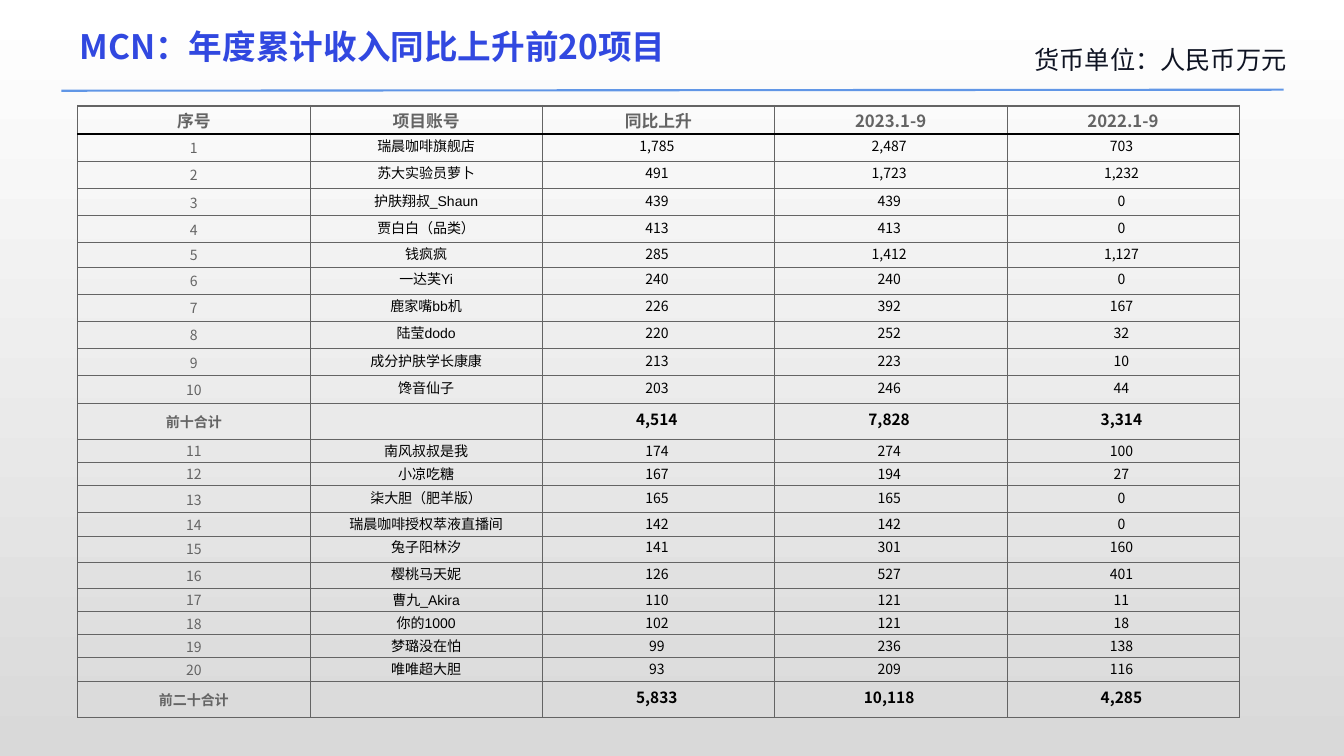
from lxml import etree
from pptx import Presentation
from pptx import util as u
from pptx.dml.color import RGBColor
from pptx.enum import shapes, text
from pptx.oxml.ns import qn

TITLE = "MCN：年度累计收入同比上升前20项目"
UNIT = "货币单位：人民币万元"
HEAD = ("序号", "项目账号", "同比上升", "2023.1-9", "2022.1-9")
TOP_TEN = [
    ("瑞晨咖啡旗舰店", "1,785", "2,487", "703"),
    ("苏大实验员萝卜", "491", "1,723", "1,232"),
    ("护肤翔叔_Shaun", "439", "439", "0"),
    ("贾白白（品类）", "413", "413", "0"),
    ("钱疯疯", "285", "1,412", "1,127"),
    ("一达芙Yi", "240", "240", "0"),
    ("鹿家嘴bb机", "226", "392", "167"),
    ("陆莹dodo", "220", "252", "32"),
    ("成分护肤学长康康", "213", "223", "10"),
    ("馋音仙子", "203", "246", "44"),
]
NEXT_TEN = [
    ("南风叔叔是我", "174", "274", "100"),
    ("小凉吃糖", "167", "194", "27"),
    ("柒大胆（肥羊版）", "165", "165", "0"),
    ("瑞晨咖啡授权萃液直播间", "142", "142", "0"),
    ("兔子阳林汐", "141", "301", "160"),
    ("樱桃马天妮", "126", "527", "401"),
    ("曹九_Akira", "110", "121", "11"),
    ("你的1000", "102", "121", "18"),
    ("梦璐没在怕", "99", "236", "138"),
    ("唯唯超大胆", "93", "209", "116"),
]
TOTAL_TEN = ("前十合计", "", "4,514", "7,828", "3,314")
TOTAL_TWENTY = ("前二十合计", "", "5,833", "10,118", "4,285")
HEIGHTS = ([0.28] + [0.27] * 4 + [0.24] + [0.27] * 5 + [0.36]
           + [0.23, 0.23, 0.27, 0.23, 0.26, 0.26] + [0.23] * 4 + [0.36])

COLORS = {"title": "3148E0", "unit": "0F1423", "rule": "6096E6", "grey": "646464",
          "black": "000000", "bg_top": "FFFFFF", "bg_bottom": "D9D9D9"}
CJK = "Noto Sans CJK SC"


def rgb(name):
    return RGBColor.from_string(COLORS[name])


def write(tf, content, size=10, color="black", font=CJK, bold=False, align="CENTER"):
    p = tf.paragraphs[0]
    p.alignment = text.PP_ALIGN[align]
    if not content:
        p.font.size = u.Pt(size)
        return
    r = p.add_run()
    r.text = content
    r.font.size, r.font.bold, r.font.name = u.Pt(size), bold, font
    r.font.color.rgb = rgb(color)
    ea = etree.SubElement(r._r.get_or_add_rPr(), qn("a:ea"))
    ea.set("typeface", CJK)


def set_margins(obj, left, top, right, bottom):
    obj.margin_left, obj.margin_top = u.Inches(left), u.Inches(top)
    obj.margin_right, obj.margin_bottom = u.Inches(right), u.Inches(bottom)


def set_borders(cell, **edges):
    tcPr = cell._tc.get_or_add_tcPr()
    for i, side in enumerate("LRTB"):
        color, width = edges.get(side, ("grey", 0.5))
        ln = etree.Element(qn("a:ln" + side), w=str(int(u.Pt(width))))
        fill = etree.SubElement(ln, qn("a:solidFill"))
        etree.SubElement(fill, qn("a:srgbClr"), val=COLORS[color])
        tcPr.insert(i, ln)


prs = Presentation()
prs.slide_width, prs.slide_height = u.Inches(13.33), u.Inches(7.5)
s = prs.slides.add_slide(prs.slide_layouts[6])

# Background
bg = s.background.fill
bg.gradient()
bg.gradient_angle = 270
for stop, name in zip(bg.gradient_stops, ("bg_top", "bg_bottom")):
    stop.color.rgb = rgb(name)

# Title, unit and rule
tf = s.shapes.add_textbox(*map(u.Inches, (0.69, 0.21, 9.35, 0.5))).text_frame
tf.word_wrap = True
write(tf, TITLE, size=24, color="title", bold=True, align="LEFT")

tf = s.shapes.add_textbox(*map(u.Inches, (9.79, 0.44, 2.97, 0.47))).text_frame
tf.word_wrap = True
set_margins(tf, 0, 0, 0, 0)
write(tf, UNIT, size=18, color="unit", align="RIGHT")

rule = s.shapes.add_connector(shapes.MSO_CONNECTOR.STRAIGHT,
                              *map(u.Inches, (0.61, 0.9, 12.73, 0.89)))
rule.line.color.rgb, rule.line.width = rgb("rule"), u.Pt(1.5)
etree.SubElement(rule._element.spPr, qn("a:effectLst"))

# Table
ranked = [(str(n), *row) for n, row in enumerate(TOP_TEN + NEXT_TEN, 1)]
rows = [HEAD, *ranked[:10], TOTAL_TEN, *ranked[10:], TOTAL_TWENTY]
width = 11.52
tbl = s.shapes.add_table(len(rows), len(HEAD), u.Inches(0.77), u.Inches(1.05),
                         u.Inches(width), u.Inches(sum(HEIGHTS))).table
tbl.first_row = tbl.horz_banding = False
for col in tbl.columns:
    col.width = u.Inches(width / len(HEAD))

for i, row in enumerate(rows):
    tbl.rows[i].height = u.Inches(HEIGHTS[i])
    head, total = i == 0, row in (TOTAL_TEN, TOTAL_TWENTY)
    edges = {}
    if head:
        edges = {"T": ("grey", 1.5), "B": ("black", 1)}
    elif i == 1:
        edges = {"T": ("black", 1)}
    for j, value in enumerate(row):
        cell = tbl.cell(i, j)
        label = head or j == 0
        cell.fill.background()
        cell.vertical_anchor = text.MSO_ANCHOR.MIDDLE
        if label or not value:
            set_margins(cell, 0, 0, 0, 0)
        else:
            set_margins(cell, 0.01, 0.01, 0.01 if j == 1 else 0.04, 0.05)
        set_borders(cell, **edges)
        write(cell.text_frame, value,
              size=12 if head else 11 if total and j else 10,
              color="grey" if label else "black",
              font="Arial" if j == 1 and not head else CJK,
              bold=head or total)

prs.save("out.pptx")
